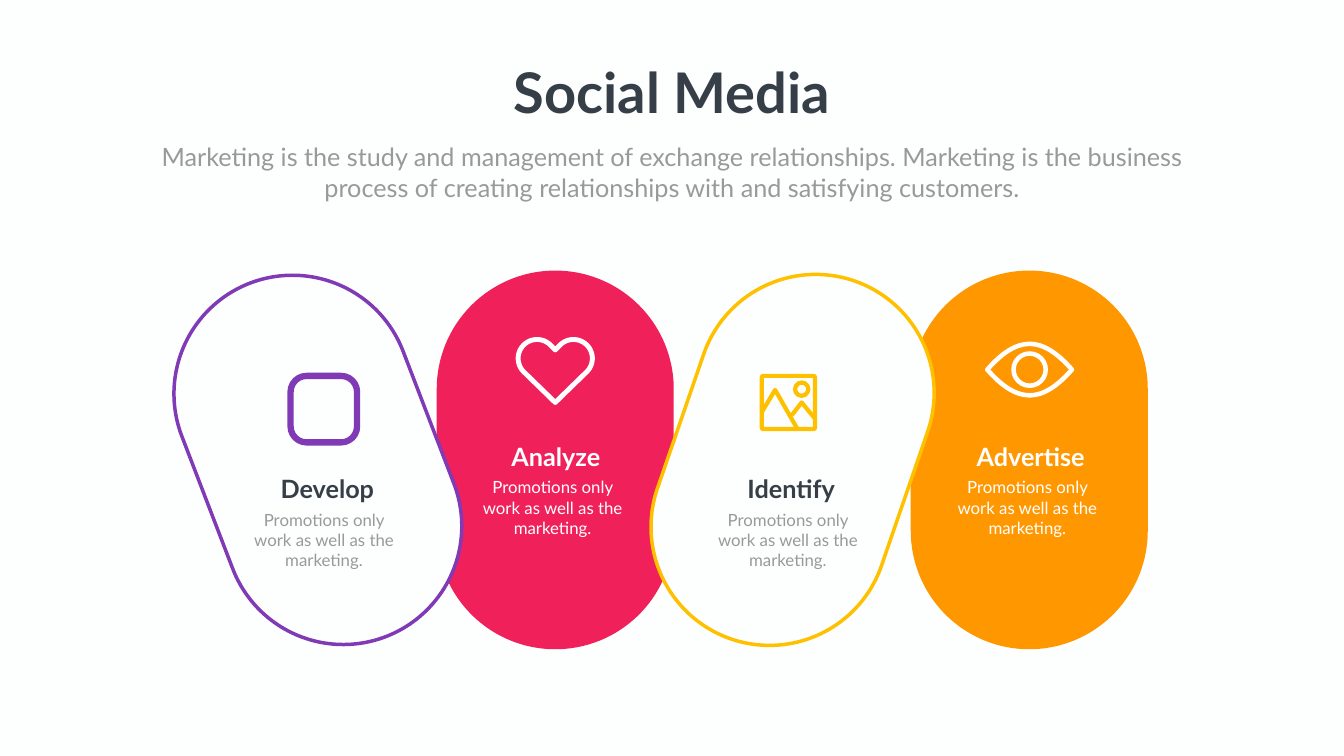
from math import cos, sin, radians

from lxml import etree
from pptx import Presentation
from pptx.dml.color import RGBColor
from pptx.enum.shapes import MSO_SHAPE as SHAPE
from pptx.enum.text import MSO_ANCHOR as ANCHOR, PP_ALIGN as ALIGN
from pptx.oxml.ns import qn
from pptx.util import Pt

PAPER = RGBColor(0xFD, 0xFF, 0xFE)
WHITE = RGBColor(0xFF, 0xFF, 0xFF)
DARK = RGBColor(0x36, 0x3E, 0x48)
GRAY = RGBColor(0x99, 0x99, 0x99)
PURPLE = RGBColor(0x81, 0x3A, 0xB6)
RED = RGBColor(0xEF, 0x20, 0x5A)
YELLOW = RGBColor(0xFF, 0xC0, 0x00)
ORANGE = RGBColor(0xFF, 0x97, 0x00)
FONT = "Lato"

# Content
TITLE = "Social Media"
INTRO = ("Marketing is the study and management of exchange relationships. "
         "Marketing is the business process of creating relationships with "
         "and satisfying customers.")
BODY = "Promotions only work as well as the marketing."

# Heading, colour, pill centre x, tilt, heading centre x, icon name, icon centre
SOLID_PILLS = [
    ("Analyze", RED, 793, 0, 794, "heart", (793, 530)),
    ("Advertise", ORANGE, 1470, 0, 1472, "eye", (1470.5, 528)),
]
OUTLINED_PILLS = [
    ("Develop", PURPLE, 454, -21, 467.5, "badge", (462.5, 584.5)),
    ("Identify", YELLOW, 1132, 19, 1130, "photo", (1126, 575)),
]
PILL_W, PILL_H, PILL_CY = 338.5, 541, 657
SOLID_TEXT_TOP, OUTLINED_TEXT_TOP = 627, 673


def style(sp, fill=None, line=None, width=0):
    sp.shadow.inherit = False
    if fill is None:
        sp.fill.background()
    else:
        sp.fill.solid()
        sp.fill.fore_color.rgb = fill
    if line is None:
        sp.line.fill.background()
    else:
        sp.line.color.rgb = line
        sp.line.width = Pt(width)
        etree.SubElement(sp.line._get_or_add_ln(), qn("a:round"))


def add_centred(s, shape, cx, cy, w, h, **look):
    sp = s.shapes.add_shape(shape, Pt(cx - w / 2), Pt(cy - h / 2), Pt(w), Pt(h))
    style(sp, **look)
    return sp


def add_path(s, centre, points, color, width, close=False):
    cx, cy = centre
    pts = [(Pt(cx + x), Pt(cy + y)) for x, y in points]
    builder = s.shapes.build_freeform(*pts[0])
    builder.add_line_segments(pts[1:], close=close)
    style(builder.convert_to_shape(), line=color, width=width)


def add_text(s, x, y, w, h, text, size, color, bold=False):
    tf = s.shapes.add_textbox(Pt(x), Pt(y), Pt(w), Pt(h)).text_frame
    tf.word_wrap = True
    tf.vertical_anchor = ANCHOR.TOP
    tf.text = text
    p = tf.paragraphs[0]
    p.alignment = ALIGN.CENTER
    font = p.runs[0].font
    font.name, font.size, font.bold = FONT, Pt(size), bold
    font.color.rgb = color


# Icons, drawn around their centre
def heart(s, centre, color):
    arc = [(-26 + 27 * cos(radians(a)), -18 + 27 * sin(radians(a)))
           for a in range(135, 316, 6)]
    left = [(0, 45)] + arc + [(0, -30)]
    right = [(-x, y) for x, y in reversed(arc)]
    add_path(s, centre, left + right, color, 7, close=True)


def eye(s, centre, color):
    steps = [i / 24 for i in range(25)]
    # Cubic curve for the upper lid; the lower one mirrors it
    upper = [(-60.5 * (1 - t) ** 3 - 17.5 * 3 * t * (1 - t) ** 2
              + 17.5 * 3 * t * t * (1 - t) + 60.5 * t ** 3,
              -49 * 3 * t * (1 - t)) for t in steps]
    lower = [(x, -y) for x, y in reversed(upper[1:-1])]
    add_path(s, centre, upper + lower, color, 6.5, close=True)
    add_centred(s, SHAPE.OVAL, *centre, 46, 46, line=color, width=6.5)


def photo(s, centre, color):
    cx, cy = centre
    frame = add_centred(s, SHAPE.ROUNDED_RECTANGLE, cx, cy, 76, 76,
                        line=color, width=6)
    frame.adjustments[0] = 0.03
    add_path(s, centre, [(-38, 14), (-19, -18), (13, 38)], color, 6)
    add_path(s, centre, [(5, 18), (19, 0), (38, 23)], color, 6)
    add_centred(s, SHAPE.OVAL, cx + 19, cy - 19, 19, 19, line=color, width=6)


def badge(s, centre, color):
    sp = add_centred(s, SHAPE.ROUNDED_RECTANGLE, *centre, 95, 95,
                     line=color, width=9)
    sp.adjustments[0] = 0.24


ICONS = {"heart": heart, "eye": eye, "photo": photo, "badge": badge}


def add_pill(s, entry, solid):
    heading, color, cx, tilt, text_cx, icon, icon_centre = entry
    look = {"fill": color} if solid else {"fill": PAPER, "line": color, "width": 5}
    sp = add_centred(s, SHAPE.ROUNDED_RECTANGLE, cx, PILL_CY, PILL_W, PILL_H, **look)
    sp.adjustments[0] = 0.5
    sp.rotation = tilt
    ICONS[icon](s, icon_centre, WHITE if solid else color)

    top = SOLID_TEXT_TOP if solid else OUTLINED_TEXT_TOP
    add_text(s, text_cx - 94, top, 188, 51, heading, 36,
             WHITE if solid else DARK, bold=True)
    add_text(s, text_cx - 116, top + 51, 222.5, 94, BODY, 24,
             WHITE if solid else GRAY)


def main():
    prs = Presentation()
    prs.slide_width, prs.slide_height = Pt(1919.52), Pt(1080)
    s = prs.slides.add_slide(prs.slide_layouts[6])
    s.background.fill.solid()
    s.background.fill.fore_color.rgb = PAPER

    # Title and introduction
    add_text(s, 722, 79, 476, 104, TITLE, 80, DARK, bold=True)
    add_text(s, 193, 199, 1533.5, 94, INTRO, 36, GRAY)

    # Solid pills lie behind the outlined ones
    for entry in SOLID_PILLS:
        add_pill(s, entry, solid=True)
    for entry in OUTLINED_PILLS:
        add_pill(s, entry, solid=False)

    prs.save("out.pptx")


if __name__ == "__main__":
    main()
